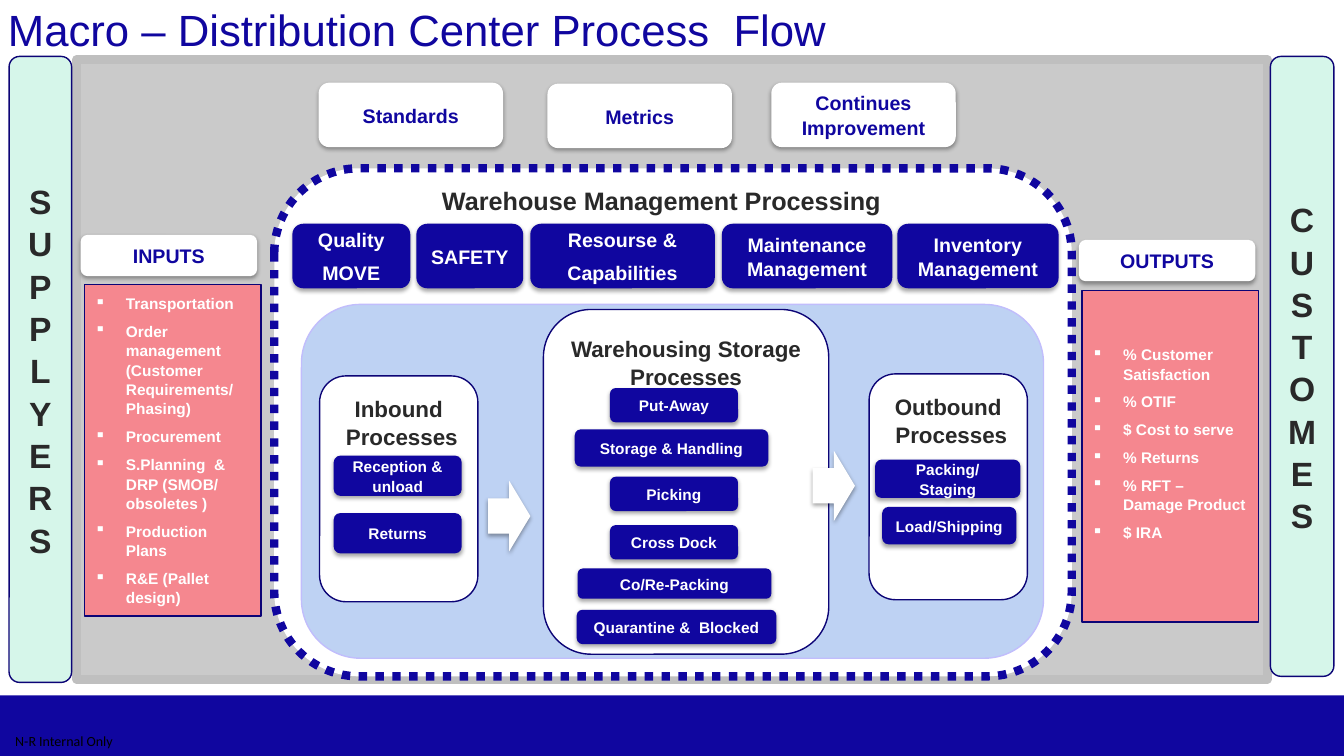
from dataclasses import dataclass
from typing import Optional

from lxml.etree import SubElement
from pptx import Presentation
from pptx.dml.color import RGBColor
from pptx.enum.dml import MSO_LINE_DASH_STYLE as Dash
from pptx.enum.shapes import MSO_SHAPE as Preset
from pptx.enum.text import MSO_ANCHOR as Anchor, PP_ALIGN as Align
from pptx.oxml.ns import qn
from pptx.util import Inches, Pt


@dataclass(frozen=True)
class Theme:
    font: str = "Arial"
    footer_font: str = "Calibri"
    white: str = "FFFFFF"
    black: str = "000000"
    navy: str = "10069F"
    outline: str = "0C0476"
    ink: str = "292929"
    mint: str = "D6F6EA"
    pink: str = "F5878F"
    sky: str = "BED2F3"
    lilac: str = "C1BDFC"
    gray: str = "CACACA"
    gray_edge: str = "BFBFBF"
    title: float = 31.2
    letter: float = 24
    heading: float = 18
    stage: float = 16
    label: float = 14
    small: float = 11
    footer: float = 10
    leading: float = 1.05
    title_leading: float = 0.9


THEME = Theme()


@dataclass(frozen=True)
class Area:
    left: float
    top: float
    width: float
    height: float


@dataclass(frozen=True)
class Style:
    fill: Optional[str] = None
    line: Optional[str] = None
    line_width: float = 1
    dash: Optional[Dash] = None
    shadow: bool = False
    ink: str = THEME.ink
    size: float = THEME.label
    font: str = THEME.font
    bold: bool = True
    align: Align = Align.CENTER
    anchor: Anchor = Anchor.MIDDLE
    insets: tuple[float, float, float, float] = (0.1, 0.05, 0.1, 0.05)
    before: float = 0
    leading: float = THEME.leading
    bullet: str = ""


@dataclass(frozen=True)
class Panel:
    area: Area
    style: Style
    lines: tuple[str, ...] = ()
    preset: Preset = Preset.ROUNDED_RECTANGLE


TILE_INSETS = (0.11, 0.03, 0.11, 0.03)
WHITE_TILE = Style(THEME.white, shadow=True, ink=THEME.navy, insets=TILE_INSETS)
NAVY_TILE = Style(THEME.navy, shadow=True, ink=THEME.white, insets=TILE_INSETS, before=6)
STEP_TILE = Style(THEME.navy, shadow=True, ink=THEME.white, size=THEME.small, insets=TILE_INSETS)
PARTY = Style(THEME.mint, THEME.outline, size=THEME.letter, insets=(0.05, 0.05, 0.05, 0.05))
STAGE = Style(THEME.white, THEME.outline, size=THEME.stage, anchor=Anchor.TOP,
              insets=(0.05, 0.1, 0.05, 0.05))
INPUT_LIST = Style(THEME.pink, THEME.outline, ink=THEME.white, size=THEME.small,
                   align=Align.LEFT, before=6, bullet="▪")
OUTPUT_LIST = Style(THEME.pink, THEME.outline, ink=THEME.white, size=THEME.small,
                    align=Align.LEFT, before=6, bullet="▪", insets=(0.1, 0.05, 0.1, 0.31))
HEADING = Style(size=THEME.heading)
TITLE = Style(ink=THEME.navy, size=THEME.title, bold=False, align=Align.LEFT,
              anchor=Anchor.TOP, leading=THEME.title_leading)
FOOTER = Style(ink=THEME.black, size=THEME.footer, font=THEME.footer_font, bold=False,
               insets=(0, 0, 0, 0), leading=1)
ARROW = Style(THEME.white, shadow=True)

BACKDROP = (
    Panel(Area(0, 6.9, 13.33, 0.6), Style(THEME.navy), preset=Preset.RECTANGLE),
    Panel(Area(0.76, 0.59, 11.81, 6.15), Style(THEME.gray, THEME.gray_edge, 6),
          preset=Preset.RECTANGLE),
    Panel(Area(2.72, 1.67, 7.91, 5.04),
          Style(THEME.white, THEME.navy, 6, Dash.ROUND_DOT)),
    Panel(Area(2.99, 3.02, 7.36, 3.51), Style(THEME.sky, THEME.lilac)),
    Panel(Area(0.09, 0.56, 0.62, 6.21), PARTY, tuple("SUPPLYERS")),
    Panel(Area(12.6, 0.56, 0.63, 6.15), PARTY, tuple("CUSTOMES")),
)
STAGES = (
    Panel(Area(3.17, 3.73, 1.57, 2.24), STAGE, ("Inbound", " Processes")),
    Panel(Area(8.62, 3.71, 1.57, 2.24), STAGE, ("Outbound", " Processes")),
    Panel(Area(5.39, 3.07, 2.83, 3.42), STAGE, ("Warehousing Storage Processes",)),
    Panel(Area(4.84, 4.77, 0.42, 0.7), ARROW, preset=Preset.RIGHT_ARROW),
    Panel(Area(8.06, 4.47, 0.42, 0.7), ARROW, preset=Preset.RIGHT_ARROW),
)
GOVERNANCE = (
    Panel(Area(3.16, 0.82, 1.83, 0.64), WHITE_TILE, ("Standards",)),
    Panel(Area(5.43, 0.83, 1.83, 0.64), WHITE_TILE, ("Metrics",)),
    Panel(Area(7.65, 0.82, 1.83, 0.64), WHITE_TILE, ("Continues Improvement",)),
)
MANAGEMENT = (
    Panel(Area(2.9, 2.22, 1.17, 0.64), NAVY_TILE, ("Quality", "MOVE")),
    Panel(Area(4.13, 2.22, 1.06, 0.64), NAVY_TILE, ("SAFETY",)),
    Panel(Area(5.26, 2.22, 1.83, 0.64), NAVY_TILE, ("Resourse &", "Capabilities")),
    Panel(Area(7.16, 2.22, 1.69, 0.64), NAVY_TILE, ("Maintenance Management",)),
    Panel(Area(8.9, 2.22, 1.6, 0.64), NAVY_TILE, ("Inventory Management",)),
)
STEPS = (
    Panel(Area(3.31, 4.52, 1.27, 0.4), STEP_TILE, ("Reception & unload",)),
    Panel(Area(3.31, 5.09, 1.27, 0.4), STEP_TILE, ("Returns",)),
    Panel(Area(6.05, 3.85, 1.27, 0.34), STEP_TILE, ("Put-Away",)),
    Panel(Area(5.7, 4.26, 1.92, 0.37), STEP_TILE, ("Storage & Handling",)),
    Panel(Area(6.05, 4.73, 1.27, 0.34), STEP_TILE, ("Picking",)),
    Panel(Area(6.05, 5.21, 1.27, 0.34), STEP_TILE, ("Cross Dock",)),
    Panel(Area(5.73, 5.64, 1.92, 0.3), STEP_TILE, ("Co/Re-Packing",)),
    Panel(Area(5.72, 6.05, 1.98, 0.34), STEP_TILE, ("Quarantine &  Blocked",)),
    Panel(Area(8.68, 4.56, 1.44, 0.38), STEP_TILE, ("Packing/Staging",)),
    Panel(Area(8.75, 5.03, 1.33, 0.37), STEP_TILE, ("Load/Shipping",)),
)
FLOWS = (
    Panel(Area(0.8, 2.33, 1.75, 0.41), WHITE_TILE, ("INPUTS",)),
    Panel(Area(0.84, 2.82, 1.75, 3.29), INPUT_LIST,
          ("Transportation", "Order management (Customer Requirements/ Phasing)",
           "Procurement", "S.Planning  & DRP (SMOB/ obsoletes )", "Production Plans",
           "R&E (Pallet design)"), Preset.RECTANGLE),
    Panel(Area(10.7, 2.38, 1.75, 0.41), WHITE_TILE, ("OUTPUTS",)),
    Panel(Area(10.73, 2.88, 1.75, 3.29), OUTPUT_LIST,
          ("% Customer Satisfaction", "% OTIF", "$ Cost to serve", "% Returns",
           "% RFT – Damage Product", "$ IRA"), Preset.RECTANGLE),
)
CAPTIONS = (
    Panel(Area(-0.02, 0.04, 13.11, 0.87), TITLE, ("Macro – Distribution Center Process  Flow",)),
    Panel(Area(3.8, 1.75, 5.52, 0.46), HEADING, ("Warehouse Management Processing",)),
    Panel(Area(0, 7.21, 1.27, 0.29), FOOTER, ("N-R Internal Only",)),
)


def place(area: Area) -> tuple[Inches, ...]:
    return tuple(Inches(n) for n in (area.left, area.top, area.width, area.height))


def add_shadow(box) -> None:
    effects = box._element.spPr.find(qn("a:effectLst"))
    shadow = SubElement(effects, qn("a:outerShdw"), blurRad=str(Pt(3.1)), dist=str(Pt(1.8)),
                        dir="5400000", algn="t", rotWithShape="0")
    color = SubElement(shadow, qn("a:srgbClr"), val=THEME.black)
    SubElement(color, qn("a:alpha"), val="35000")


def add_bullet(para, mark: str) -> None:
    properties = para._p.get_or_add_pPr()
    properties.set("marL", str(Inches(0.31)))
    properties.set("indent", str(Inches(-0.31)))
    SubElement(properties, qn("a:buChar"), char=mark)


def write(box, lines: tuple[str, ...], style: Style) -> None:
    frame = box.text_frame
    frame.word_wrap = True
    frame.vertical_anchor = style.anchor
    (frame.margin_left, frame.margin_top,
     frame.margin_right, frame.margin_bottom) = map(Inches, style.insets)
    for index, line in enumerate(lines):
        para = frame.add_paragraph() if index else frame.paragraphs[0]
        if style.bullet:
            add_bullet(para, style.bullet)
        para.alignment = style.align
        para.line_spacing = style.leading
        para.space_before = Pt(style.before if index else 0)
        span = para.add_run()
        span.text = line
        span.font.name = style.font
        span.font.size = Pt(style.size)
        span.font.bold = style.bold
        span.font.color.rgb = RGBColor.from_string(style.ink)


def draw_panel(page, panel: Panel) -> None:
    style = panel.style
    box = page.shapes.add_shape(panel.preset, *place(panel.area))
    box.shadow.inherit = False
    box.fill.solid()
    box.fill.fore_color.rgb = RGBColor.from_string(style.fill)
    if style.line:
        box.line.color.rgb = RGBColor.from_string(style.line)
        box.line.width = Pt(style.line_width)
        if style.dash:
            box.line.dash_style = style.dash
    else:
        box.line.fill.background()
    if style.shadow:
        add_shadow(box)
    if panel.lines:
        write(box, panel.lines, style)


def draw_caption(page, caption: Panel) -> None:
    write(page.shapes.add_textbox(*place(caption.area)), caption.lines, caption.style)


def main() -> None:
    deck = Presentation()
    deck.slide_width, deck.slide_height = Inches(13.33), Inches(7.5)
    page = deck.slides.add_slide(deck.slide_layouts[6])
    for panel in BACKDROP + STAGES + GOVERNANCE + MANAGEMENT + STEPS + FLOWS:
        draw_panel(page, panel)
    for caption in CAPTIONS:
        draw_caption(page, caption)
    deck.save("out.pptx")


if __name__ == "__main__":
    main()
